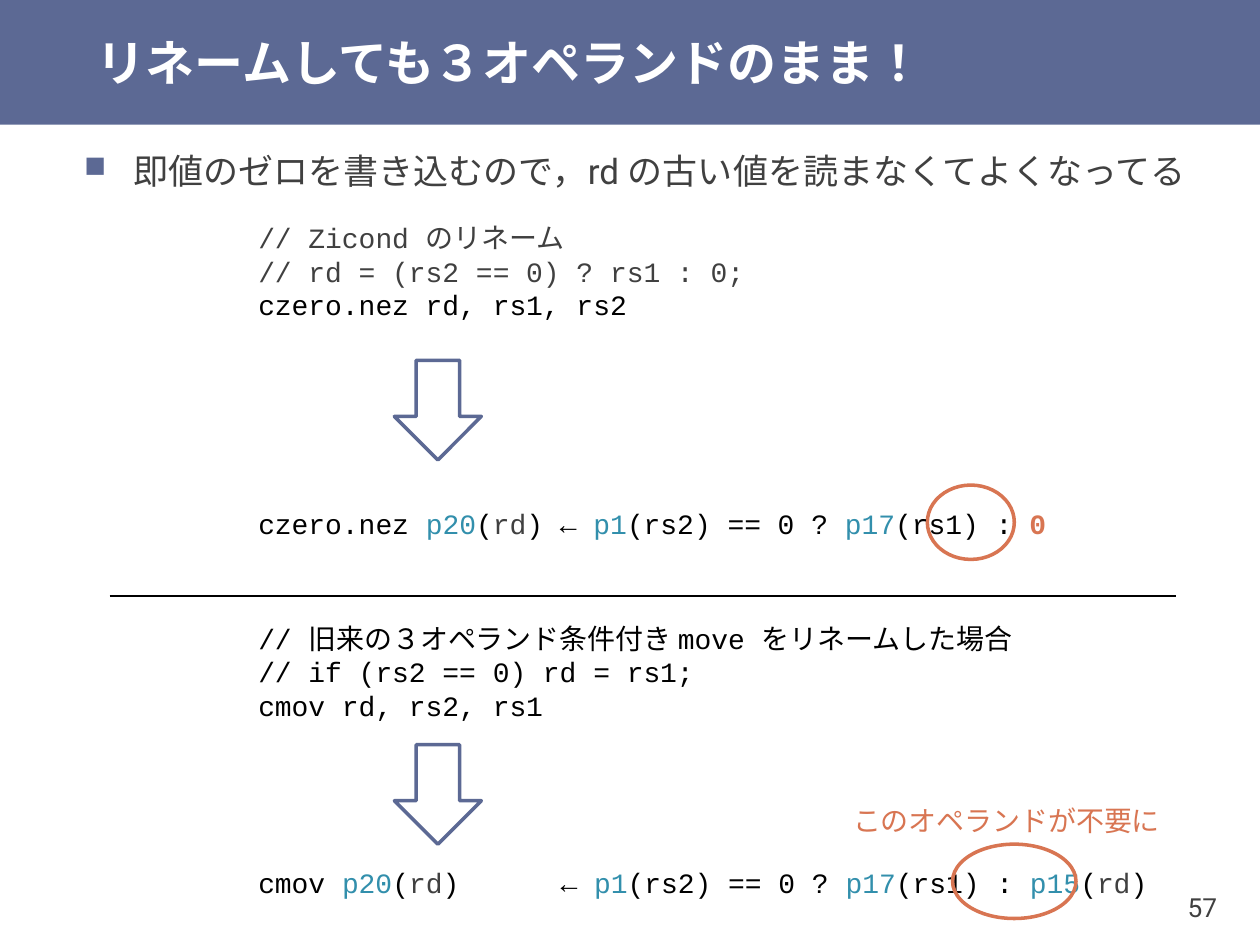
from lxml import etree
from pptx import Presentation
from pptx import util as u
from pptx.dml.color import RGBColor
from pptx.enum import lang, shapes, text
from pptx.oxml import ns

NAVY = RGBColor(0x5C, 0x69, 0x94)
WHITE = RGBColor(0xFF, 0xFF, 0xFF)
BLACK = RGBColor(0, 0, 0)
GREY = RGBColor(0x40, 0x40, 0x40)
TEAL = RGBColor(0x32, 0x8F, 0xAC)
ORANGE = RGBColor(0xD8, 0x75, 0x52)

CODE_LEFT = 2.05
CODE_RIGHT = 9.75
LINE_HEIGHT = 0.27
TAB_STOP = 2.4


def add_tag(parent, name, **attributes):
    """Append a DrawingML child element."""
    return etree.SubElement(parent, ns.qn(name), attributes)


class SlideWriter:
    """Holds the style and the slide being filled."""

    sans = "Roboto"
    mono = "Courier New"

    def __init__(self, page):
        """Start writing on the page."""
        self.page = page

    def shape(self, kind, place, fill=None, line=None, rotation=0):
        """Add a preset shape with optional fill and outline."""
        item = self.page.shapes.add_shape(kind, *map(u.Inches, place))
        item.shadow.inherit = False
        item.rotation = rotation
        if fill is None:
            item.fill.background()
        else:
            item.fill.solid()
            item.fill.fore_color.rgb = fill
        if line is None:
            item.line.fill.background()
        else:
            item.line.color.rgb = line
            item.line.width = u.Pt(2)

    def box(self, place, margins=(0, 0)):
        """Add a middle-anchored text box and return its frame."""
        frame = self.page.shapes.add_textbox(*map(u.Inches, place)).text_frame
        frame.word_wrap = True
        frame.vertical_anchor = text.MSO_ANCHOR.MIDDLE
        frame.margin_left = frame.margin_right = u.Inches(margins[0])
        frame.margin_top = frame.margin_bottom = u.Inches(margins[1])
        return frame

    def style(self, font, name, size, color=None, bold=None):
        """Set the face, size, colour and weight of a font."""
        font.name, font.size, font.bold = name, u.Pt(size), bold
        if color is not None:
            font.color.rgb = color

    def label(self, place, words, size, color, margins, bold=None):
        """Add a single sans-serif paragraph and return it."""
        para = self.box(place, margins).paragraphs[0]
        span = para.add_run()
        span.text = words
        span.font.language_id = lang.MSO_LANGUAGE_ID.JAPANESE
        self.style(para.font, self.sans, size, color, bold)
        return para

    def bullet(self, para):
        """Give a paragraph a square bullet and its spacing."""
        para.line_spacing = 1.1
        para.space_before, para.space_after = u.Pt(24), u.Pt(6)
        props = para._p.get_or_add_pPr()
        indent = u.Inches(0.39)
        props.set("marL", str(indent))
        props.set("indent", str(-indent))
        default = props.find(ns.qn("a:defRPr"))
        color = add_tag(props, "a:buClr")
        add_tag(color, "a:srgbClr", val=str(NAVY))
        add_tag(props, "a:buSzPct", val="85000")
        add_tag(props, "a:buChar", char="■")
        props.append(default)

    def code(self, middle, lines, left=CODE_LEFT):
        """Add code lines, each a list of spans, centred on a height."""
        height = LINE_HEIGHT * len(lines)
        frame = self.box((left, middle - height / 2, CODE_RIGHT - left, height))
        for number, spans in enumerate(lines):
            para = frame.add_paragraph() if number else frame.paragraphs[0]
            if any("\t" in words for words, _ in spans):
                tabs = add_tag(para._p.get_or_add_pPr(), "a:tabLst")
                add_tag(tabs, "a:tab", pos=str(u.Inches(TAB_STOP)), algn="l")
            self.style(para.font, self.mono, 16)
            for words, color in spans:
                span = para.add_run()
                span.text = words
                span.font.color.rgb = color
                if words == "0":
                    span.font.bold = True

    def renamed(self, middle, opcode, gap, last):
        """Add a renamed instruction ending in the given operand spans."""
        self.code(middle, [[
            (opcode + " ", BLACK), ("p20", TEAL), ("(", BLACK), ("rd", GREY),
            (")" + gap + "← ", BLACK), ("p1", TEAL), ("(rs2) == 0 ? ", BLACK),
            ("p17", TEAL), ("(rs1) : ", BLACK), *last]])

    def down_arrow(self, top):
        """Add a block arrow that points down."""
        self.shape(shapes.MSO_SHAPE.RIGHT_ARROW, (3.08, top, 0.79, 0.69),
                   WHITE, NAVY, 90)

    def ring(self, place):
        """Add an orange ellipse around an operand."""
        self.shape(shapes.MSO_SHAPE.OVAL, place, line=ORANGE)

    def divider(self, left, right, top):
        """Add a thin horizontal line."""
        line = self.page.shapes.add_connector(
            shapes.MSO_CONNECTOR.STRAIGHT, u.Inches(left), u.Inches(top),
            u.Inches(right), u.Inches(top))
        line.line.color.rgb = BLACK
        line.line.width = u.Pt(0.75)
        add_tag(line._element.spPr, "a:effectLst")


def main():
    """Build and save the slide."""
    deck = Presentation()
    deck.slide_width, deck.slide_height = u.Inches(10), u.Inches(7.5)
    writer = SlideWriter(deck.slides.add_slide(deck.slide_layouts[6]))

    writer.shape(shapes.MSO_SHAPE.RECTANGLE, (0, 0, 10, 0.99), NAVY)
    number = writer.label((8.94, 6.9, 0.79, 0.6), "57", 15, GREY, (0.07, 0.04))
    number.alignment = text.PP_ALIGN.RIGHT
    writer.label((0.67, 0, 9.33, 0.99), "リネームしても３オペランドのまま！",
                 28, WHITE, (0.1, 0), bold=True)

    writer.code(5.33, [
        [("// 旧来の３オペランド条件付き move をリネームした場合", BLACK)],
        [("// if (rs2 == 0) rd = rs1;", BLACK)],
        [("cmov rd, rs2, rs1", BLACK)]])
    writer.down_arrow(5.96)
    writer.renamed(7, "cmov", "\t",
                   [("p15", TEAL), ("(", BLACK), ("rd", GREY), (")", BLACK)])

    writer.bullet(writer.label(
        (0.57, 0.5, 9.15, 1.67),
        "即値のゼロを書き込むので，rd の古い値を読まなくてよくなってる",
        20, GREY, (0.1, 0.05)))
    writer.divider(0.87, 9.33, 4.73)
    writer.ring((7.36, 3.85, 0.69, 0.59))
    writer.ring((7.56, 6.7, 0.98, 0.59))
    writer.code(6.51, [[("このオペランドが不要に", ORANGE)]], left=6.77)

    writer.down_arrow(2.91)
    writer.renamed(4.15, "czero.nez", " ", [("0", ORANGE)])
    writer.code(2.15, [
        [("// Zicond のリネーム", GREY)],
        [("// rd = (rs2 == 0) ? rs1 : 0;", GREY)],
        [("czero.nez rd, rs1, rs2", BLACK)]])

    deck.save("out.pptx")


main()
